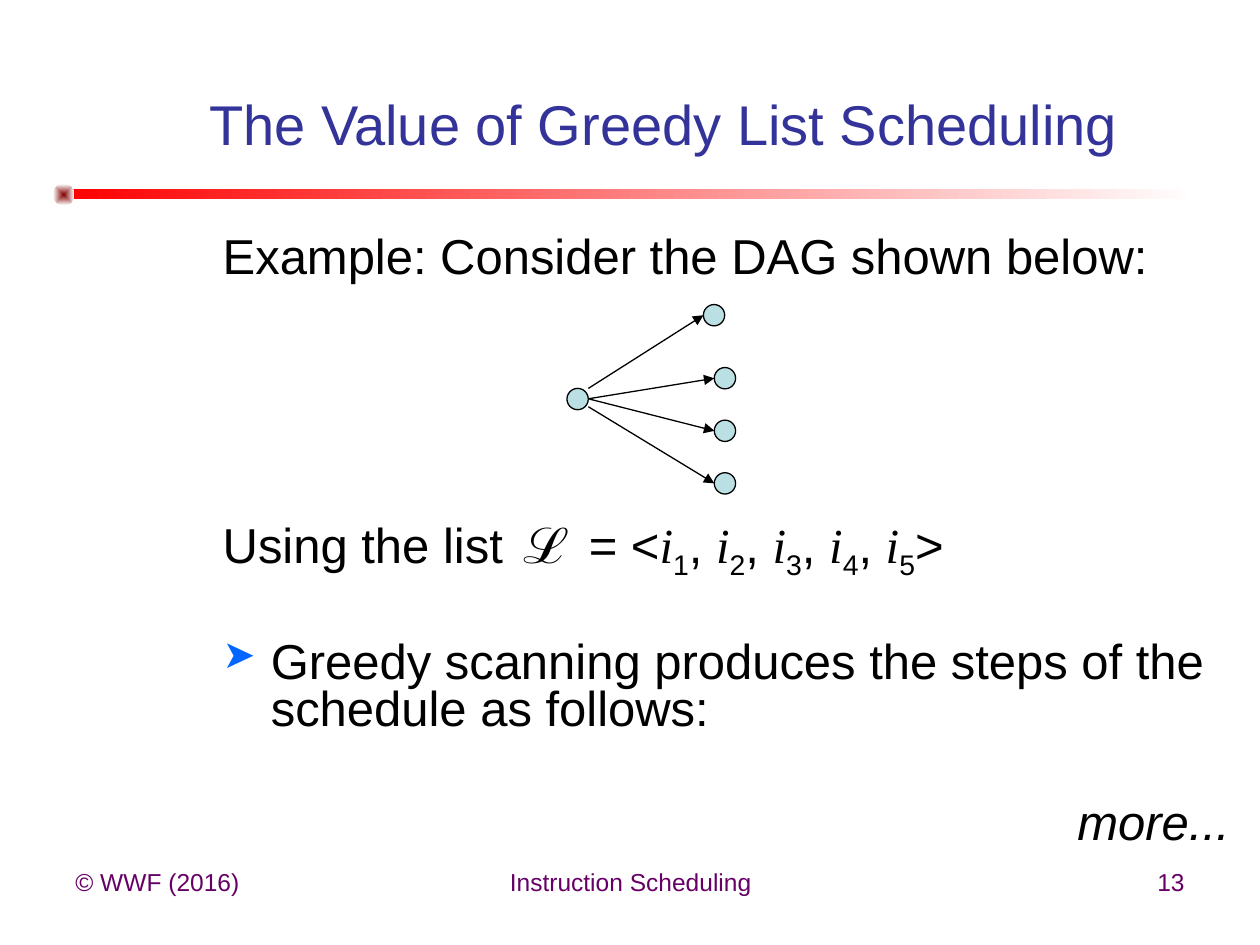
from dataclasses import dataclass

from lxml import etree
from pptx import Presentation
from pptx.dml.color import RGBColor
from pptx.enum.shapes import MSO_CONNECTOR, MSO_SHAPE
from pptx.enum.text import MSO_ANCHOR, PP_ALIGN
from pptx.oxml.ns import qn
from pptx.util import Cm, Pt

RECTANGLE, OVAL = MSO_SHAPE.RECTANGLE, MSO_SHAPE.OVAL
STRAIGHT = MSO_CONNECTOR.STRAIGHT
LEFT, CENTER, RIGHT = PP_ALIGN.LEFT, PP_ALIGN.CENTER, PP_ALIGN.RIGHT
MIDDLE = MSO_ANCHOR.MIDDLE

COLORS = {
    "black": "000000", "white": "FFFFFF", "title": "333399", "footer": "660066",
    "rule": "FF0000", "knob": "800000", "bullet": "0066FF", "node": "BBE0E3",
}
SANS, SERIF, MONO = "Arial", "Times New Roman", "DejaVu Sans Mono"
BODY_SIZE = 28
NODE_SIZE = 0.43
INDENT = 0.97


@dataclass
class Piece:
    text: str
    font: str = SANS
    italic: bool = False
    subscript: bool = False


@dataclass
class Footer:
    text: str
    left: float
    width: float
    align: PP_ALIGN


@dataclass
class Successor:
    left: float
    top: float
    arrow_start: float


def color(name: str) -> RGBColor:
    return RGBColor.from_string(COLORS[name])


def format_font(font, name: str, size: float, color_name: str) -> None:
    font.name = name
    font.size = Pt(size)
    font.color.rgb = color(color_name)


def add_gradient_shape(slide, kind, left, top, width, height, start: str):
    shape = slide.shapes.add_shape(kind, Cm(left), Cm(top), Cm(width), Cm(height))
    shape.shadow.inherit = False
    shape.line.fill.background()
    shape.fill.gradient()
    shape.fill.gradient_angle = 0
    for stop, name, position in zip(shape.fill.gradient_stops, (start, "white"), (0, 1)):
        stop.color.rgb = color(name)
        stop.position = position
    return shape


def make_gradient_radiate(shape) -> None:
    gradient = shape._element.spPr.find(qn("a:gradFill"))
    gradient.remove(gradient.find(qn("a:lin")))
    radial = etree.SubElement(gradient, qn("a:path"), path="shape")
    etree.SubElement(radial, qn("a:fillToRect"), l="50000", t="50000", r="50000", b="50000")


def add_footer(slide, footer: Footer) -> None:
    box = slide.shapes.add_textbox(Cm(footer.left), Cm(17.35), Cm(footer.width), Cm(1.32))
    box.text_frame.word_wrap = True
    para = box.text_frame.paragraphs[0]
    para.text = footer.text
    para.alignment = footer.align
    format_font(para.runs[0].font, SANS, 14, "footer")


def add_bullet(para) -> None:
    properties = para._p.get_or_add_pPr()
    bullet_color = etree.SubElement(properties, qn("a:buClr"))
    etree.SubElement(bullet_color, qn("a:srgbClr"), val=COLORS["bullet"])
    etree.SubElement(properties, qn("a:buSzPct"), val="80000")
    etree.SubElement(properties, qn("a:buChar"), char="➤")


def fill_paragraph(para, pieces: list[Piece], space_before: float,
                   align: PP_ALIGN = LEFT, bullet: bool = False) -> None:
    if bullet:
        add_bullet(para)
    para.alignment = align
    para.line_spacing = 0.8
    para.space_before = Pt(space_before)
    if align == LEFT:
        properties = para._p.get_or_add_pPr()
        properties.set("marL", str(Cm(INDENT)))
        properties.set("indent", str(-Cm(INDENT)))
    for piece in pieces:
        span = para.add_run()
        span.text = piece.text
        format_font(span.font, piece.font, BODY_SIZE, "black")
        span.font.italic = piece.italic
        if piece.subscript:
            span.font._element.set("baseline", "-25000")


def add_node(slide, left: float, top: float) -> None:
    node = slide.shapes.add_shape(OVAL, Cm(left), Cm(top), Cm(NODE_SIZE), Cm(NODE_SIZE))
    node.shadow.inherit = False
    node.fill.solid()
    node.fill.fore_color.rgb = color("node")
    node.line.color.rgb = color("black")
    node.line.width = Pt(0.75)


def add_arrow(slide, x1: float, y1: float, x2: float, y2: float) -> None:
    arrow = slide.shapes.add_connector(STRAIGHT, Cm(x1), Cm(y1), Cm(x2), Cm(y2))
    arrow.line.color.rgb = color("black")
    arrow.line.width = Pt(0.75)
    etree.SubElement(arrow.line._get_or_add_ln(), qn("a:tailEnd"), type="triangle")
    etree.SubElement(arrow._element.spPr, qn("a:effectLst"))


def list_definition(count: int) -> list[Piece]:
    pieces = [Piece("Using the list "), Piece("ℒ", MONO), Piece(" = <")]
    for number in range(1, count + 1):
        pieces += [Piece("i", SERIF, italic=True), Piece(str(number), subscript=True),
                   Piece(", " if number < count else ">")]
    return pieces


def main() -> None:
    deck = Presentation()
    deck.slide_width, deck.slide_height = Cm(25.4), Cm(19.05)
    page = deck.slides.add_slide(deck.slide_layouts[5])

    # Rule under the title
    add_gradient_shape(page, RECTANGLE, 1.27, 3.81, 22.86, 0.2, "rule")
    make_gradient_radiate(add_gradient_shape(page, OVAL, 1.07, 3.71, 0.43, 0.43, "knob"))

    # Title
    title = page.shapes.title
    title.left, title.top, title.width, title.height = Cm(2.9), Cm(1.5), Cm(20.96), Cm(1.98)
    title.text_frame.text = "The Value of Greedy List Scheduling"
    title.text_frame.vertical_anchor = MIDDLE
    heading = title.text_frame.paragraphs[0]
    heading.alignment = CENTER
    format_font(heading.runs[0].font, SANS, 32, "title")

    # Footer
    for footer in (Footer("© WWF (2016)", 1.27, 5.92, LEFT),
                   Footer("Instruction Scheduling", 8.69, 8.05, CENTER),
                   Footer("13", 18.21, 5.92, RIGHT)):
        add_footer(page, footer)

    # Body text, with room for the graph after the first line
    body = page.shapes.add_textbox(Cm(4.24), Cm(4.65), Cm(21.16), Cm(13.87))
    frame = body.text_frame
    frame.word_wrap = True
    frame.margin_right = Cm(0.61)
    fill_paragraph(frame.paragraphs[0], [Piece("Example: Consider the DAG shown below:")], 0)
    fill_paragraph(frame.add_paragraph(), list_definition(5), 135.2)
    fill_paragraph(frame.add_paragraph(),
                   [Piece("Greedy scanning produces the steps of the schedule as follows:")],
                   38.6, bullet=True)
    fill_paragraph(frame.add_paragraph(), [Piece("more...", italic=True)], 38.6, align=RIGHT)

    # Dependence graph
    root_left, root_top = 11.43, 7.83
    successors = (Successor(14.18, 6.14, 7.83), Successor(14.4, 7.41, 8.04),
                  Successor(14.4, 8.47, 8.04), Successor(14.4, 9.53, 8.2))
    for successor in successors:
        add_arrow(page, root_left + NODE_SIZE, successor.arrow_start,
                  successor.left, successor.top + NODE_SIZE / 2)
    add_node(page, root_left, root_top)
    for successor in successors:
        add_node(page, successor.left, successor.top)

    deck.save("out.pptx")


if __name__ == "__main__":
    main()
